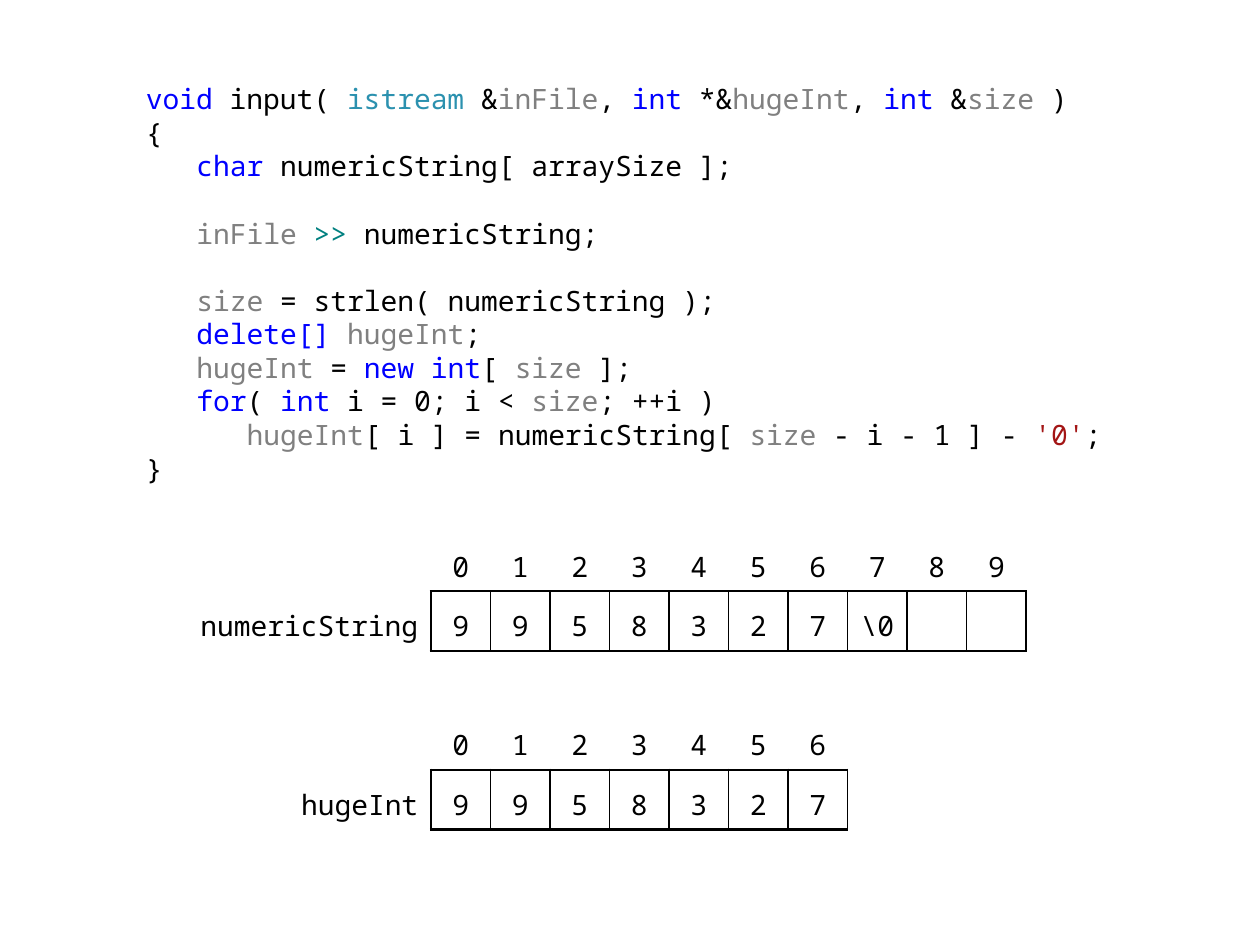
from pptx import Presentation
from pptx.dml.color import RGBColor
from pptx.enum.text import MSO_ANCHOR, PP_ALIGN
from pptx.oxml import parse_xml
from pptx.oxml.ns import nsdecls
from pptx.util import Inches, Pt

BLACK = RGBColor(0, 0, 0)
BLUE = RGBColor(0, 0, 255)
AQUA = RGBColor(0x2B, 0x91, 0xAF)
GRAY = RGBColor(0x80, 0x80, 0x80)
TEAL = RGBColor(0, 0x80, 0x80)
RED = RGBColor(0xA3, 0x15, 0x15)

FONT = "Noto Sans Mono"
SIZE = 16
LINE = Pt(19.2)
TAB = Inches(0.4)
UNIT = Inches(0.4725)
PLAIN = "{2D5ABB26-0587-4C30-8999-92F81FD0307C}"
THICK, THIN = 1.5, 1

HUES = {
    **dict.fromkeys(["void", "int", "char", "delete[]", "new int", "for"], BLUE),
    **dict.fromkeys(["inFile", "hugeInt", "size"], GRAY),
    "istream": AQUA,
    ">>": TEAL,
    "'0'": RED,
}

CODE = [
    (0, 0, "void| input( |istream| &|inFile|, |int| *&|hugeInt|, |int| &|size| )"),
    (0, 0, "{"),
    (1, 0, "char |numericString[ arraySize ];"),
    (1, 1, "inFile |>> |numericString;"),
    (1, 1, "size| = strlen( numericString );"),
    (1, 0, "delete[] |hugeInt|;"),
    (1, 0, "hugeInt| = |new int|[ |size| ];"),
    (1, 0, "for|( |int| i = 0; i < |size|; ++i )"),
    (2, 0, "hugeInt|[ i ] = numericString[ |size| - i - 1 ] - |'0'|;"),
    (0, 0, "}"),
]


def style(run, hue=BLACK):
    run.font.name = FONT
    run.font.size = Pt(SIZE)
    run.font.color.rgb = hue


def add_code(slide, left, top, width, height):
    frame = slide.shapes.add_textbox(left, top, width, height).text_frame
    frame.word_wrap = True
    for row, (depth, gap, line) in enumerate(CODE):
        para = frame.add_paragraph() if row else frame.paragraphs[0]
        para.line_spacing = LINE
        para.space_before = gap * LINE
        props = para._p.get_or_add_pPr()
        props.set("marL", str(depth * TAB))
        props.set("indent", "0")
        for part in line.split("|"):
            run = para.add_run()
            run.text = part
            style(run, HUES.get(part.strip(), BLACK))


def border(cell, **sides):
    props = cell._tc.get_or_add_tcPr()
    for side in "LRTB":
        if side in sides:
            props.append(parse_xml(
                f'<a:ln{side} {nsdecls("a")} w="{Pt(sides[side])}">'
                f'<a:solidFill><a:srgbClr val="{BLACK}"/></a:solidFill></a:ln{side}>'))


def write(cell, text, align=PP_ALIGN.CENTER, left=0.1, right=0.1):
    cell.fill.background()
    cell.vertical_anchor = MSO_ANCHOR.MIDDLE
    cell.margin_left, cell.margin_right = Inches(left), Inches(right)
    cell.margin_top = cell.margin_bottom = Inches(0.02)
    if text:
        para = cell.text_frame.paragraphs[0]
        para.text = text
        para.alignment = align
        para.line_spacing = 1.25
        style(para.runs[0])


def add_array(slide, name, items, left, top, label, edge):
    count = len(items)
    shape = slide.shapes.add_table(
        2, count + 1, left, top, label + count * UNIT, 2 * UNIT)
    table = shape.table
    table.first_row = table.horz_banding = False
    shape._element.graphic.graphicData.tbl.tblPr.find(
        "{*}tableStyleId").text = PLAIN
    for row in table.rows:
        row.height = UNIT
    table.columns[0].width = label
    write(table.cell(0, 0), "")
    border(table.cell(1, 0), R=THICK)
    write(table.cell(1, 0), name, PP_ALIGN.RIGHT, left=0.04)
    for col, item in enumerate(items, 1):
        table.columns[col].width = UNIT
        head, cell = table.cell(0, col), table.cell(1, col)
        border(head, B=THICK)
        write(head, str(col - 1))
        border(cell, L=THICK if col == 1 else THIN,
               R=edge if col == count else THIN, T=THICK, B=THICK)
        pad = 0 if len(item) > 1 else 0.1
        write(cell, item, left=pad, right=pad)


def main():
    deck = Presentation()
    deck.slide_width, deck.slide_height = Inches(10), Inches(7.5)
    slide = deck.slides.add_slide(deck.slide_layouts[6])
    wide, high = deck.slide_width, deck.slide_height
    add_code(slide, int(wide * 0.106), int(high * 0.08),
             int(wide * 0.788), int(high * 0.44))
    digits = list("9958327")
    start, top = Inches(3.42), Inches(4.22)
    arrays = [("numericString", digits + ["\\0", "", ""], 2.05, THICK),
              ("hugeInt", digits, 1.1, THIN)]
    for step, (name, items, label, edge) in enumerate(arrays):
        label = Inches(label)
        add_array(slide, name, items, start - label,
                  top + step * 3 * UNIT, label, edge)
    deck.save("out.pptx")


if __name__ == "__main__":
    main()
